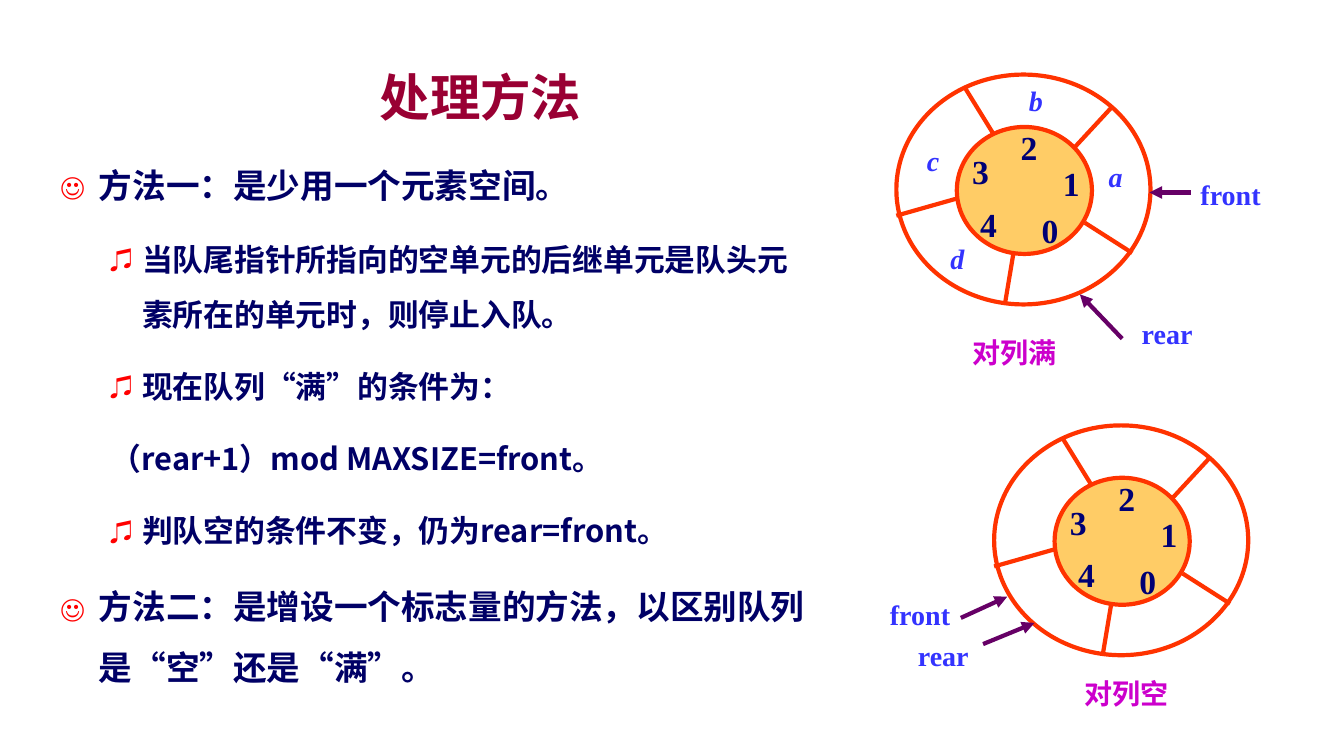
from lxml.etree import SubElement
from pptx import Presentation
from pptx.dml.color import RGBColor
from pptx.enum.shapes import MSO_CONNECTOR as Connector, MSO_SHAPE as Shape
from pptx.enum.text import MSO_ANCHOR as Anchor, MSO_AUTO_SIZE as AutoSize, PP_ALIGN as Align
from pptx.oxml.ns import qn
from pptx.util import Inches, Pt

SANS, SERIF = "Noto Sans CJK SC", "Times New Roman"

SPOKES = [
    (1.87, 1.47, 2.34, 1.77),
    (1.77, 0.72, 2.14, 0.32),
    (0.68, 0.13, 0.97, 0.6),
    (1.16, 1.78, 1.08, 2.26),
    (0, 1.4, 0.6, 1.23),
]
INDEXES = [(1.37, 1.34), (1.58, 0.88), (1.16, 0.52), (0.68, 0.76), (0.76, 1.28)]
ELEMENTS = {"a": (10.91, 1.58), "b": (10.12, 0.83), "c": (9.1, 1.42), "d": (9.34, 2.4)}
POINTERS = [
    ("front", 11.81, 1.76, (11.81, 1.91, 11.4, 1.91)),
    ("rear", 11.18, 3.14, (11.13, 3.36, 10.71, 2.92)),
    ("front", 8.73, 5.93, (9.53, 6.13, 9.99, 5.92)),
    ("rear", 8.96, 6.33, (9.75, 6.39, 10.26, 6.18)),
]
METHODS = [
    ("☺", "方法一：是少用一个元素空间。"),
    ("♫", "当队尾指针所指向的空单元的后继单元是队头元素所在的单元时，则停止入队。"),
    ("♫", "现在队列“满”的条件为："),
    (None, "（rear+1）mod MAXSIZE=front。"),
    ("♫", "判队空的条件不变，仍为rear=front。"),
    ("☺", "方法二：是增设一个标志量的方法，以区别队列是“空”还是“满”。"),
]


def set_color(target, value):
    target.rgb = RGBColor.from_string(value)


def write_text(paragraph, text, size=24, color="000066", font=SANS, italic=False, align=None):
    run = paragraph.add_run()
    run.text = text
    run.font.size = Pt(size)
    run.font.name = font
    run.font.bold = True
    run.font.italic = italic
    set_color(run.font.color, color)
    SubElement(run.font._element, qn("a:ea"), typeface=SANS)
    paragraph.alignment = align


def set_bullet(paragraph, left, hanging, symbol):
    properties = paragraph._p.get_or_add_pPr()
    properties.set("marL", str(Inches(left)))
    properties.set("indent", str(-Inches(hanging)))
    if symbol is None:
        SubElement(properties, qn("a:buNone"))
        return
    color = SubElement(properties, qn("a:buClr"))
    SubElement(color, qn("a:srgbClr"), val="FF0000")
    SubElement(properties, qn("a:buSzPct"), val="80000")
    SubElement(properties, qn("a:buFont"), typeface=SANS)
    SubElement(properties, qn("a:buChar"), char=symbol)


class QueueSlide:
    """Holds the ring style and the slide on which the queue elements are drawn."""

    ring_color, hub_color, arrow_color = "FF3300", "FFCC66", "660066"
    index_color, label_color, caption_color = "000074", "3333FF", "CC00CC"

    def __init__(self, presentation):
        self.slide = presentation.slides.add_slide(presentation.slide_layouts[1])

    def place(self, shape, left, top, width, height):
        shape.left, shape.top = Inches(left), Inches(top)
        shape.width, shape.height = Inches(width), Inches(height)

    def title(self, text):
        shape = self.slide.shapes.title
        self.place(shape, 1, 0.58, 7.53, 0.75)
        shape.text_frame.auto_size = AutoSize.NONE
        shape.text_frame.vertical_anchor = Anchor.MIDDLE
        write_text(shape.text_frame.paragraphs[0], text, size=36, color="990033", align=Align.CENTER)

    def body(self, items):
        shape = self.slide.placeholders[1]
        self.place(shape, 0.5, 1.38, 7.68, 5.64)
        frame = shape.text_frame
        frame.auto_size = AutoSize.NONE
        frame.vertical_anchor = Anchor.TOP
        for number, (symbol, text) in enumerate(items):
            paragraph = frame.add_paragraph() if number else frame.paragraphs[0]
            main = symbol == "☺"
            paragraph.level = 0 if main else 1
            paragraph.space_before = Pt(6 if number else 0)
            paragraph.space_after = Pt(6)
            paragraph.line_spacing = Pt(43.5 if main else 39.5)
            left, hanging = (0.38, 0.38) if main else (0.81, 0.31) if symbol else (0.5, 0)
            set_bullet(paragraph, left, hanging, symbol)
            write_text(paragraph, text, size=24 if main else 22, align=Align.LEFT)

    def ellipse(self, left, top, width, height, fill=None):
        shape = self.slide.shapes.add_shape(
            Shape.OVAL, Inches(left), Inches(top), Inches(width), Inches(height))
        shape.shadow.inherit = False
        if fill:
            shape.fill.solid()
            set_color(shape.fill.fore_color, fill)
        else:
            shape.fill.background()
        set_color(shape.line.color, self.ring_color)
        shape.line.width = Pt(3)

    def line(self, x1, y1, x2, y2, color, arrow=False):
        connector = self.slide.shapes.add_connector(
            Connector.STRAIGHT, Inches(x1), Inches(y1), Inches(x2), Inches(y2))
        set_color(connector.line.color, color)
        connector.line.width = Pt(3)
        if arrow:
            SubElement(connector.line._get_or_add_ln(), qn("a:tailEnd"), type="triangle")
        SubElement(connector._element.spPr, qn("a:effectLst"))

    def label(self, text, left, top, width, height=0.33, **style):
        box = self.slide.shapes.add_textbox(
            Inches(left), Inches(top), Inches(width), Inches(height))
        frame = box.text_frame
        frame.word_wrap = True
        frame.margin_left = frame.margin_right = frame.margin_top = frame.margin_bottom = 0
        write_text(frame.paragraphs[0], text, align=Align.CENTER, **style)

    def ring(self, left, top):
        self.ellipse(left + 0.6, top + 0.52, 1.34, 1.26, self.hub_color)
        self.ellipse(left, top, 2.52, 2.28)
        for x1, y1, x2, y2 in SPOKES:
            self.line(left + x1, top + y1, left + x2, top + y2, self.ring_color)
        for index, (x, y) in enumerate(INDEXES):
            self.label(str(index), left + x, top + y, 0.31, 0.4, font=SERIF, color=self.index_color)

    def element(self, text, left, top):
        self.label(text, left, top, 0.31, size=20, font=SERIF, color=self.label_color, italic=True)

    def pointer(self, text, left, top, arrow):
        self.label(text, left, top, 0.79, size=20, font=SERIF, color=self.label_color)
        self.line(*arrow, self.arrow_color, arrow=True)

    def caption(self, text, left, top, width):
        self.label(text, left, top, width, 0.44, size=20, font=SERIF, color=self.caption_color)


def main():
    presentation = Presentation()
    presentation.slide_width, presentation.slide_height = Inches(13.33), Inches(7.5)
    queue = QueueSlide(presentation)
    queue.title("处理方法")
    queue.body(METHODS)
    queue.ring(9.86, 4.22)
    queue.ring(8.89, 0.74)
    for text, (left, top) in ELEMENTS.items():
        queue.element(text, left, top)
    for pointer in POINTERS:
        queue.pointer(*pointer)
    queue.caption("对列满", 9.21, 3.33, 1.7)
    queue.caption("对列空", 9.75, 6.71, 2.85)
    presentation.save("out.pptx")


if __name__ == "__main__":
    main()
